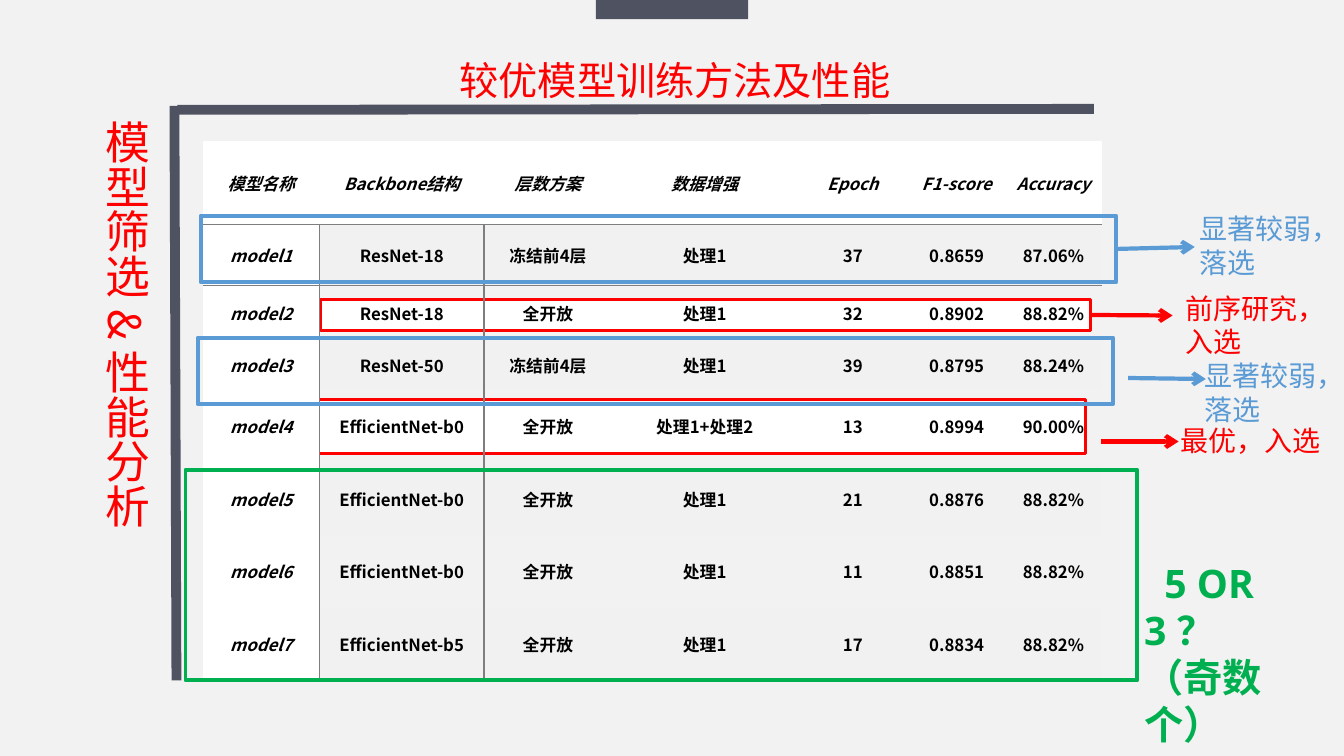
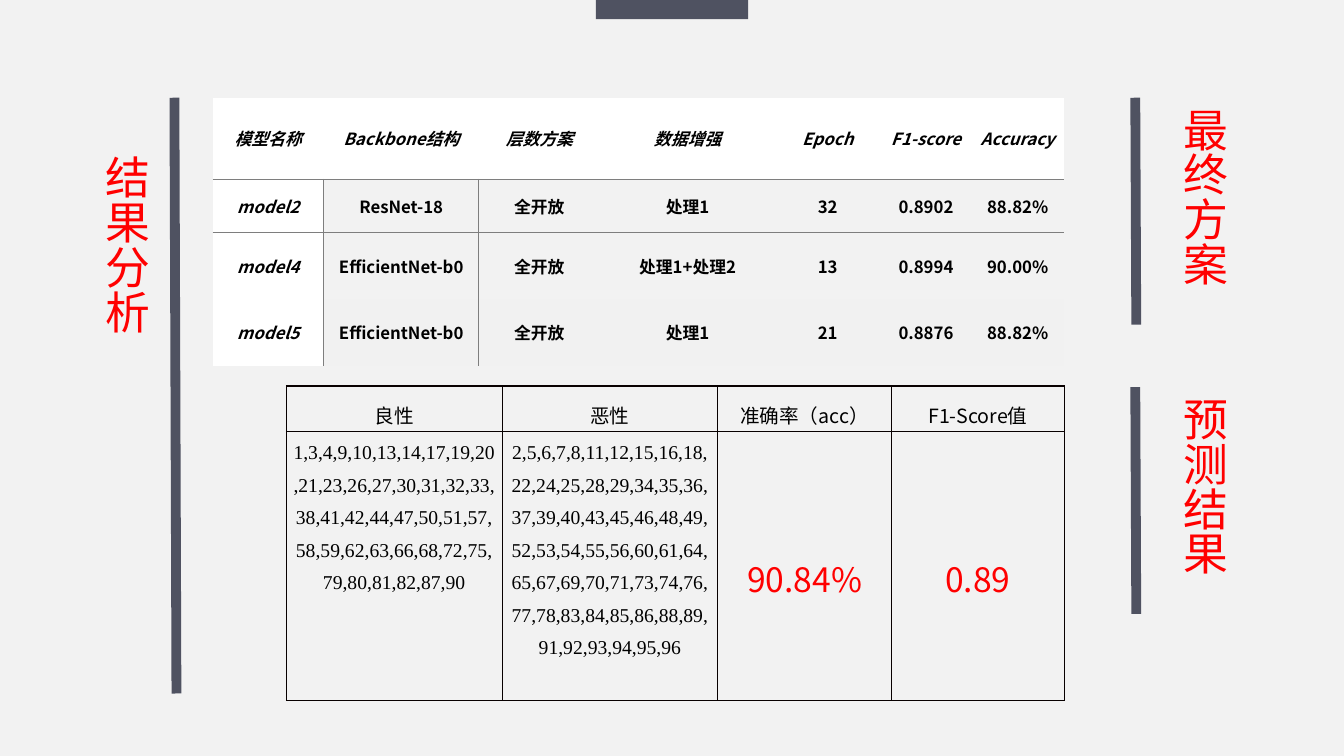
import dataclasses
import typing

import lxml.etree
import pptx
import pptx.dml.color
import pptx.enum.shapes
import pptx.enum.text
import pptx.oxml.ns
import pptx.util

Inches = pptx.util.Inches
Pt = pptx.util.Pt
qn = pptx.oxml.ns.qn
CENTER = pptx.enum.text.PP_ALIGN.CENTER
MIDDLE = pptx.enum.text.MSO_ANCHOR.MIDDLE
Box = tuple[float, float, float, float]
Point = tuple[float, float]

SLATE, PAPER, WHITE, BLACK = "4F5261", "F2F2F2", "FFFFFF", "000000"
RED, BLUE, GREEN = "FF0000", "5B9BD5", "00B050"
SHADE, RULE, GRID = "F1F1F1", "7E7E7E", "080000"
CJK, SANS, SERIF = "Noto Sans CJK SC", "Open Sans", "Times New Roman"
NO_STYLE = "{2D5ABB26-0587-4C30-8999-92F81FD0307C}"


@dataclasses.dataclass(frozen=True)
class Style:
    size: float
    color: str
    font: str = SANS
    bold: bool = False
    italic: bool = False


@dataclasses.dataclass(frozen=True)
class Frame:
    box: Box
    color: str
    width: float = 2.75
    fill: str | None = None


@dataclasses.dataclass(frozen=True)
class Note:
    text: str
    box: Box
    color: str
    start: Point
    end: Point
    frame: Frame | None = None


@dataclasses.dataclass(frozen=True)
class Model:
    number: int
    backbone: str
    layers: str
    augmentation: str
    epoch: int
    f1: str
    accuracy: str

    def row(self) -> list[str]:
        return [f"model{self.number}", self.backbone, self.layers, self.augmentation,
                str(self.epoch), self.f1, self.accuracy]


@dataclasses.dataclass(frozen=True)
class Cell:
    text: str
    style: Style
    fill: str | None = None
    sides: str = ""
    border: str = RULE
    middle: bool = True
    spacing: float | None = None


SIDE_TITLE = Style(32, RED, CJK)
TOP_TITLE = Style(28, RED)
QUESTION = Style(28, GREEN, bold=True)
TABLE_TEXT = Style(12, BLACK, CJK, bold=True)
TABLE_NAME = dataclasses.replace(TABLE_TEXT, italic=True)
RESULT_HEAD = Style(14, BLACK, CJK)
RESULT_LIST = Style(14, BLACK, SERIF)
RESULT_VALUE = Style(24, RED, CJK)

HEADERS = ["模型名称", "Backbone结构", "层数方案", "数据增强", "Epoch", "F1-score", "Accuracy"]
MODELS = [
    Model(1, "ResNet-18", "冻结前4层", "处理1", 37, "0.8659", "87.06%"),
    Model(2, "ResNet-18", "全开放", "处理1", 32, "0.8902", "88.82%"),
    Model(3, "ResNet-50", "冻结前4层", "处理1", 39, "0.8795", "88.24%"),
    Model(4, "EfficientNet-b0", "全开放", "处理1+处理2", 13, "0.8994", "90.00%"),
    Model(5, "EfficientNet-b0", "全开放", "处理1", 21, "0.8876", "88.82%"),
    Model(6, "EfficientNet-b0", "全开放", "处理1", 11, "0.8851", "88.82%"),
    Model(7, "EfficientNet-b5", "全开放", "处理1", 17, "0.8834", "88.82%"),
]
FINALISTS = [m for m in MODELS if m.number in (2, 4, 5)]

PRIOR = Frame((3.18, 2.97, 7.64, 0.31), RED, 2.25, WHITE)
BEST = Frame((2.25, 3.96, 8.52, 0.54), RED, 2.25, WHITE)
WEAK_FIRST = Frame((1.99, 2.14, 9.08, 0.66), BLUE)
WEAK_THIRD = Frame((1.96, 3.35, 9.08, 0.66), BLUE)
CANDIDATES = Frame((1.84, 4.66, 9.44, 2.09), GREEN)

NOTES = [
    Note("最优，入选", (11.61, 4.15, 1.72, 0.44), RED, (10.92, 4.38), (11.69, 4.38)),
    Note("前序研究，入选", (11.66, 2.84, 1.72, 0.77), RED, (10.86, 3.12), (11.63, 3.13), PRIOR),
    Note("显著较弱，落选", (11.8, 2.05, 1.72, 0.77), BLUE, (11.08, 2.44), (11.85, 2.45), WEAK_FIRST),
    Note("显著较弱，落选", (11.85, 3.51, 1.72, 0.77), BLUE, (11.19, 3.75), (11.96, 3.76)),
]

BENIGN = ("1,3,4,9,10,13,14,17,19,20,21,23,26,27,30,31,32,33,38,41,42,44,47,50,51,"
          "57,58,59,62,63,66,68,72,75,79,80,81,82,87,90")
MALIGNANT = ("2,5,6,7,8,11,12,15,16,18,22,24,25,28,29,34,35,36,37,39,40,43,45,46,48,49,"
             "52,53,54,55,56,60,61,64,65,67,69,70,71,73,74,76,77,78,83,84,85,86,88,89,"
             "91,92,93,94,95,96")


def rgb(color: str) -> pptx.dml.color.RGBColor:
    return pptx.dml.color.RGBColor.from_string(color)


def inches(values: typing.Iterable[float]) -> list[int]:
    return [Inches(v) for v in values]


def paint(fill: typing.Any, color: str | None) -> None:
    if color is None:
        fill.background()
    else:
        fill.solid()
        fill.fore_color.rgb = rgb(color)


def write(p: typing.Any, text: str, style: Style) -> None:
    r = p.add_run()
    r.text = text
    formats = {"size": Pt(style.size), "name": style.font,
               "bold": style.bold, "italic": style.italic}
    for name, value in formats.items():
        setattr(r.font, name, value)
    r.font.color.rgb = rgb(style.color)
    ea = lxml.etree.SubElement(r.font._element, qn("a:ea"))
    ea.set("typeface", CJK)


def add_text(s: typing.Any, box: Box, lines: list[str], style: Style,
             vertical: bool = False, first_indent: float = 0) -> None:
    tf = s.shapes.add_textbox(*inches(box)).text_frame
    tf.word_wrap = True
    tf.auto_size = pptx.enum.text.MSO_AUTO_SIZE.SHAPE_TO_FIT_TEXT
    if vertical:
        tf._txBody.bodyPr.set("vert", "eaVert")
    for i, line in enumerate(lines):
        p = tf.add_paragraph() if i else tf.paragraphs[0]
        write(p, line, style)
    if first_indent:
        tf.paragraphs[0]._p.get_or_add_pPr().set("indent", str(Inches(first_indent)))


def add_rect(s: typing.Any, frame: Frame) -> typing.Any:
    sp = s.shapes.add_shape(pptx.enum.shapes.MSO_SHAPE.RECTANGLE, *inches(frame.box))
    sp.shadow.inherit = False
    paint(sp.fill, frame.fill)
    paint(sp.line.fill, frame.color if frame.width else None)
    if frame.width:
        sp.line.width = Pt(frame.width)
    return sp


def add_line(s: typing.Any, start: Point, end: Point, color: str = SLATE,
             width: float = 7, arrow: bool = False) -> typing.Any:
    line = s.shapes.add_connector(pptx.enum.shapes.MSO_CONNECTOR.STRAIGHT,
                                  *inches(start + end))
    line.line.color.rgb = rgb(color)
    line.line.width = Pt(width)
    if arrow:
        lxml.etree.SubElement(line.line._get_or_add_ln(), qn("a:tailEnd")).set("type", "arrow")
    lxml.etree.SubElement(line._element.spPr, qn("a:effectLst"))
    return line


def add_note(s: typing.Any, note: Note, rects: dict[Frame, typing.Any]) -> None:
    arrow = add_line(s, note.start, note.end, note.color, 3, arrow=True)
    if note.frame:
        arrow.begin_connect(rects[note.frame], 3)
    add_text(s, note.box, [note.text], Style(20, note.color))


def fill_cell(tc: typing.Any, cell: Cell) -> None:
    margins = {"margin_left": 0.07, "margin_right": 0.07, "margin_top": 0, "margin_bottom": 0}
    for name, value in margins.items():
        setattr(tc, name, Inches(value))
    if cell.middle:
        tc.vertical_anchor = MIDDLE
    p = tc.text_frame.paragraphs[0]
    p.alignment = CENTER
    if cell.spacing:
        p.line_spacing = cell.spacing
    write(p, cell.text, cell.style)
    tcPr = tc._tc.get_or_add_tcPr()
    for side in "LRTB":
        if side in cell.sides:
            ln = lxml.etree.SubElement(tcPr, qn(f"a:ln{side}"), w=str(Pt(1)))
            solid = lxml.etree.SubElement(ln, qn("a:solidFill"))
            lxml.etree.SubElement(solid, qn("a:srgbClr"), val=cell.border)
    paint(tc.fill, cell.fill)


def add_table(s: typing.Any, left: float, top: float, widths: list[float],
              heights: list[float], rows: list[list[Cell]]) -> None:
    box = (left, top, sum(widths), sum(heights))
    table = s.shapes.add_table(len(heights), len(widths), *inches(box)).table
    table.first_row = table.horz_banding = False
    table._tbl.tblPr.find(qn("a:tableStyleId")).text = NO_STYLE
    for column, width in zip(table.columns, widths):
        column.width = Inches(width)
    for row, height, cells in zip(table.rows, heights, rows):
        row.height = Inches(height)
        for tc, cell in zip(row.cells, cells):
            fill_cell(tc, cell)


def model_rows(models: list[Model]) -> list[list[Cell]]:
    rows = [[Cell(h, TABLE_NAME, WHITE, "B") for h in HEADERS]]
    for i, model in enumerate(models):
        top = "" if i else "T"
        shade = SHADE if model.number % 2 else None
        name, backbone, *values = model.row()
        rows.append([Cell(name, TABLE_NAME, WHITE, "R" + top),
                     Cell(backbone, TABLE_TEXT, shade, "L" + top)]
                    + [Cell(v, TABLE_TEXT, shade, top) for v in values])
    return rows


def result_rows() -> list[list[Cell]]:
    def cell(text: str, style: Style, middle: bool = False) -> Cell:
        return Cell(text, style, None, "LRTB", GRID, middle, 1.5)

    return [[cell(t, RESULT_HEAD) for t in ("良性", "恶性", "准确率（acc）", "F1-Score值")],
            [cell(t, RESULT_LIST) for t in (BENIGN, MALIGNANT)]
            + [cell(t, RESULT_VALUE, True) for t in ("90.84%", "0.89")]]


def add_band(s: typing.Any) -> None:
    add_rect(s, Frame((5.91, 0, 1.51, 0.19), SLATE, 0, SLATE))


def add_side_title(s: typing.Any, text: str, box: Box, start: Point, end: Point) -> None:
    add_line(s, start, end)
    add_text(s, box, [text], SIDE_TITLE, vertical=True)


def build_selection(s: typing.Any) -> None:
    rects = {f: add_rect(s, f) for f in (PRIOR, BEST)}
    add_band(s)
    add_side_title(s, "模型筛选 & 性能分析", (0.83, 1.09, 0.74, 5.12), (1.73, 1.05), (1.75, 6.75))
    add_table(s, 2.01, 1.4, [1.16, 1.63, 1.27, 1.84, 1.1, 0.96, 0.96],
              [0.83, 0.6, 0.55, 0.49] + [0.72] * 4, model_rows(MODELS))
    add_line(s, (1.76, 1.09), (10.85, 1.08))
    add_text(s, (4.46, 0.51, 4.68, 0.57), ["较优模型训练方法及性能"], TOP_TITLE)
    rects |= {f: add_rect(s, f) for f in (WEAK_FIRST, WEAK_THIRD, CANDIDATES)}
    for note in NOTES:
        add_note(s, note, rects)
    add_text(s, (11.25, 5.5, 1.82, 1.04), ["5 OR 3 ？", "（奇数个）"], QUESTION, first_indent=0.2)


def build_results(s: typing.Any) -> None:
    add_band(s)
    add_side_title(s, "结果分析", (0.83, 1.44, 0.74, 4.21), (1.73, 0.97), (1.75, 6.88))
    add_table(s, 2.11, 0.97, [1.1, 1.54, 1.2, 1.74, 1.04, 0.91, 0.91],
              [0.81, 0.53, 0.66, 0.66], model_rows(FINALISTS))
    add_table(s, 2.84, 3.83, [2.14, 2.14, 1.72, 1.72], [0.45, 2.67], result_rows())
    for text, top in (("最终方案", 0.97), ("预测结果", 3.84)):
        add_side_title(s, text, (11.52, top, 0.74, 2.1), (11.26, top), (11.27, top + 2.25))


def main() -> None:
    prs = pptx.Presentation()
    prs.slide_width, prs.slide_height = inches((13.33, 7.5))
    paint(prs.slide_master.background.fill, PAPER)
    for build in (build_selection, build_results):
        build(prs.slides.add_slide(prs.slide_layouts[6]))
    prs.save("out.pptx")


if __name__ == "__main__":
    main()
